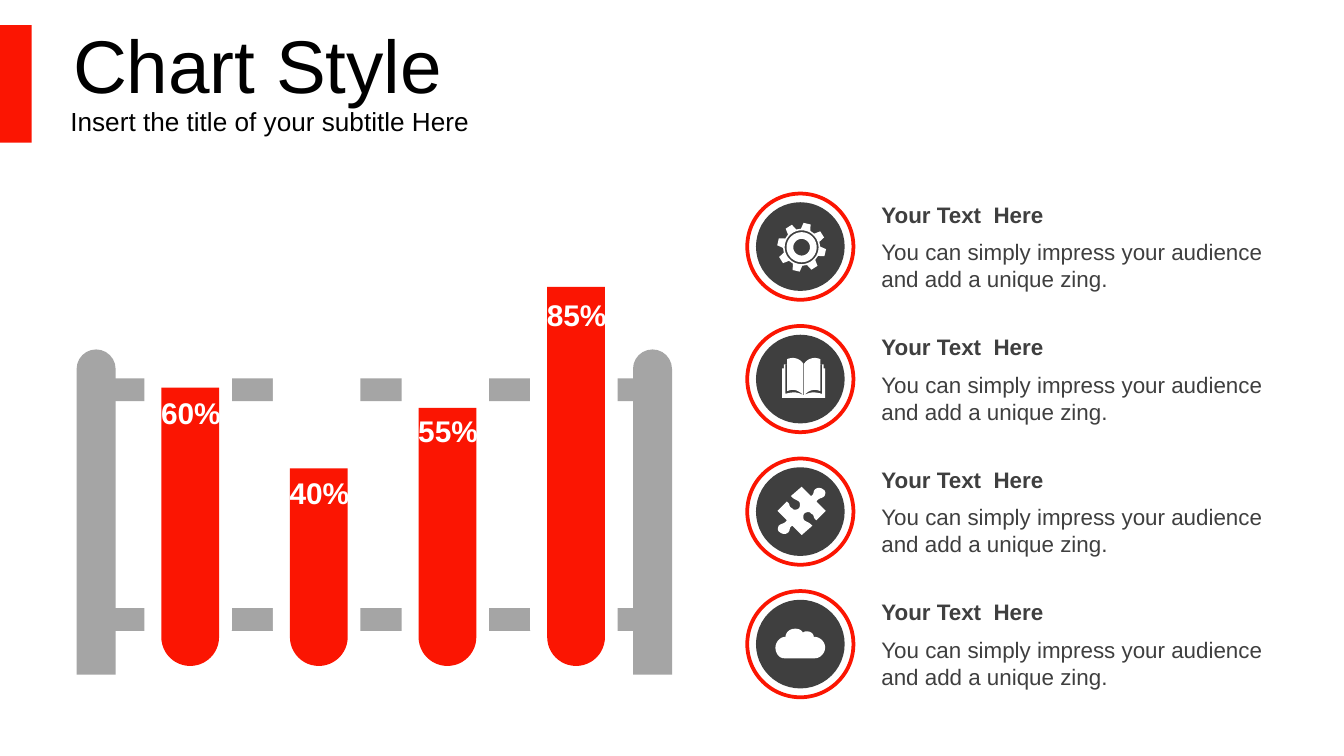
from collections import namedtuple
from dataclasses import dataclass
from math import cos, radians, sin

from pptx import Presentation
from pptx.dml.color import RGBColor
from pptx.enum.shapes import MSO_SHAPE
from pptx.enum.text import MSO_ANCHOR, PP_ALIGN
from pptx.util import Inches, Pt

Box = namedtuple("Box", "x y w h")


@dataclass(frozen=True)
class Theme:
    """Colours, font and type sizes of the slide."""
    accent: str = "FB1502"
    grey: str = "A5A5A5"
    dark: str = "3F3F3F"
    white: str = "FFFFFF"
    black: str = "000000"
    font: str = "Arial"
    title: int = 40
    subtitle: int = 14
    value: int = 16
    body: int = 12
    ring: int = 2


T = Theme()
COLUMNS, ROWS = 100, 56.25
CELL = Inches(10) // COLUMNS
BODY = "You can simply impress your audience and add a unique zing."
VALUES = (0.60, 0.40, 0.55, 0.85)
VALUE_DROPS = (0, -0.05, -0.15, 0.25)


def grid(v):
    """Turn grid cells into EMU."""
    return round(v * CELL)


def paint(shape, fill, line=None):
    """Give a shape a flat fill and an optional outline."""
    shape.shadow.inherit = False
    shape.fill.solid()
    shape.fill.fore_color.rgb = RGBColor.from_string(fill)
    if line:
        shape.line.color.rgb = RGBColor.from_string(line)
        shape.line.width = Pt(T.ring)
    else:
        shape.line.fill.background()
    return shape


def preset(s, kind, box, fill, line=None):
    """Add a painted preset shape in a grid box."""
    return paint(s.shapes.add_shape(kind, *map(grid, box)), fill, line)


def rounded(s, box, fill, rotation=0):
    """Add a bar with one fully rounded end."""
    sp = preset(s, MSO_SHAPE.ROUND_2_SAME_RECTANGLE, box, fill)
    sp.adjustments[0], sp.adjustments[1] = 0.5, 0
    sp.rotation = rotation


def label(s, box, text, size, color, bold=False, align=PP_ALIGN.LEFT,
          anchor=MSO_ANCHOR.TOP, pad=0.5):
    """Add a wrapped one-run text box."""
    tf = s.shapes.add_textbox(*map(grid, box)).text_frame
    tf.word_wrap = True
    tf.vertical_anchor = anchor
    tf.margin_left = tf.margin_right = grid(1)
    tf.margin_top = tf.margin_bottom = grid(pad)
    p = tf.paragraphs[0]
    p.alignment = align
    r = p.add_run()
    r.text = text
    r.font.name, r.font.size, r.font.bold = T.font, Pt(size), bold
    r.font.color.rgb = RGBColor.from_string(color)


def flatten(contour, steps=8):
    """Turn points and six-number cubic curves into points."""
    points = []
    for seg in contour:
        if len(seg) == 2:
            points.append(seg)
            continue
        x, y = points[-1]
        a, b, c, d, e, f = seg
        for t in (i / steps for i in range(1, steps + 1)):
            k = ((1 - t) ** 3, 3 * t * (1 - t) ** 2, 3 * t * t * (1 - t), t ** 3)
            points.append((k[0] * x + k[1] * a + k[2] * c + k[3] * e,
                           k[0] * y + k[1] * b + k[2] * d + k[3] * f))
    return points


def outline(s, x, y, contours, fill, unit=1.0):
    """Draw contours as one freeform whose zero point is x, y."""
    shapes = [[(grid(x + px * unit), grid(y + py * unit)) for px, py in flatten(c)]
              for c in contours]
    fb = s.shapes.build_freeform(*shapes[0][0], scale=1.0)
    fb.add_line_segments(shapes[0][1:], close=True)
    for points in shapes[1:]:
        fb.move_to(*points[0])
        fb.add_line_segments(points[1:], close=True)
    paint(fb.convert_to_shape(), fill)


def polar(radius, degrees):
    """Give the point at a radius and an angle."""
    return radius * cos(radians(degrees)), radius * sin(radians(degrees))


def gear():
    """Give the contours of an eight-toothed gear with a ring and a hole."""
    tooth = ((13.8, -15), (18.2, -8.5), (18.2, 8.5), (13.8, 15))
    teeth = [polar(r, 45 * i - 32 + a) for i in range(8) for r, a in tooth]
    rings = [[polar(r, a) for a in range(0, 360, 10)] for r in (12.6, 11.2, 6.2)]
    return [teeth, *rings]


def book():
    """Give the contours of an open book, symmetric about its spine."""
    def mirror(contour):
        """Reflect a contour of points and curves in the spine."""
        return [tuple(-v if i % 2 == 0 else v for i, v in enumerate(seg)) for seg in contour]

    half = [(0, 15), (-16, 15), (-16, -7), (-14.8, -7), (-14.8, -10), (-12.4, -10),
            (-12.4, -13.8), (-8, -15.8, -3, -14.5, -0.3, -10.5), (-0.3, 13), (0, 13)]
    slit = [(-12.4, -10), (-13.6, -10), (-13.6, 12), (-7, 10, -4, 11, -0.3, 13),
            (-4, 9, -8, 8, -12.4, 10)]
    return [half, mirror(half), slit, mirror(slit)]


def puzzle():
    """Give the contour of a jigsaw piece, symmetric about its centre."""
    half = [(16, -16), (18, -15, 18, -13, 17, -11), (15, -9, 13, -10, 11, -7),
            (18, 0), (11, 7), (8, 5, 10, 3, 7, 2), (6, 0, 3, 1, 2, 2),
            (1, 3, 1, 6, 2, 7), (5, 9, 5, 8, 8, 11), (0, 18), (-7, 11),
            (-10, 13, -8, 14, -10, 16), (-12, 18, -15, 17, -16, 16)]
    return [half + [tuple(-v for v in seg) for seg in half[1:]]]


def cloud():
    """Give the contour of a flat-based cloud."""
    return [[(-4, -11), (-1, -11, 1, -10, 2, -8), (3, -9, 4, -9, 5, -9),
             (8, -9, 10, -7, 10, -5), (15, -5, 18.5, -1, 18.5, 3),
             (18.5, 7, 15, 11, 11, 11), (-12, 11), (-16, 11, -18.5, 7, -18.5, 3),
             (-18.5, -1, -15, -5, -11, -5), (-11, -8, -8, -11, -4, -11)]]


def header(s, box):
    """Place the accent tab, the title and the subtitle."""
    preset(s, MSO_SHAPE.RECTANGLE, Box(box.x, box.y, 2.35, box.h), T.accent)
    label(s, Box(box.x + 4.25, box.y + 5.7, 78.6, 2.9), "Insert the title of your subtitle Here",
          T.subtitle, T.black, anchor=MSO_ANCHOR.MIDDLE, pad=1)
    label(s, Box(box.x + 4.45, box.y, 78.5, 5.7), "Chart Style",
          T.title, T.black, anchor=MSO_ANCHOR.MIDDLE, pad=1)


def fence_chart(s, box):
    """Place the posts, the rails and one tube with its bar for each value."""
    post, pitch, base = 2.9, 9.57, box.y + 32.35
    for x in (box.x, box.x + box.w - post):
        rounded(s, Box(x, box.y + 8.8, post, 24.2), T.grey)
    for x, y in ((1.6, 10.95), (2.3, 28.05)):
        preset(s, MSO_SHAPE.RECTANGLE, Box(box.x + x, box.y + y, 41.4, 1.7), T.grey)
    tube = [(0.9, 0), (8, 0), (8.5, 0, 9, 0.4, 9, 0.9), (9, 1.4, 8.5, 1.8, 8, 1.8),
            (7.7, 1.8), (7.7, 29.7), (7.7, 31.5, 6.3, 33, 4.45, 33),
            (2.6, 33, 1.2, 31.5, 1.2, 29.7), (1.2, 1.8), (0.9, 1.8),
            (0.4, 1.8, 0, 1.4, 0, 0.9), (0, 0.4, 0.4, 0, 0.9, 0)]
    for i, (value, drop) in enumerate(zip(VALUES, VALUE_DROPS)):
        x, height = box.x + 6.3 + i * pitch, 2.7 + 30 * value
        outline(s, x - 2.45, box.y, [tube], T.white)
        rounded(s, Box(x, base - height, 4.3, height), T.accent, 180)
        label(s, Box(x - 2.1, base - height + drop, 8.6, 3.7), f"{value:.0%}",
              T.value, T.white, True, PP_ALIGN.CENTER)


def feature(s, box, icon, dx, dy):
    """Place one ringed icon with its heading and text."""
    ring, disc = 7.9, 6.6
    preset(s, MSO_SHAPE.OVAL, Box(box.x, box.y, ring, ring), T.white, T.accent)
    gap = (ring - disc) / 2
    preset(s, MSO_SHAPE.OVAL, Box(box.x + gap, box.y + gap, disc, disc), T.dark)
    outline(s, box.x + ring / 2 + dx, box.y + ring / 2 + dy, icon, T.white, 0.1)
    label(s, Box(box.x + 9, box.y + 2.85, box.w - 9, 5), BODY, T.body, T.dark)
    label(s, Box(box.x + 9, box.y + 0.05, box.w - 9, 3), "Your Text  Here", T.body, T.dark, True)


def features(s, box):
    """Stack the features at equal steps down the box."""
    icons = ((gear(), 0.1, 0.05), (book(), 0.25, -0.1), (puzzle(), 0.1, -0.05), (cloud(), 0, -0.05))
    for i, (icon, dx, dy) in enumerate(icons):
        feature(s, Box(box.x, box.y + i * box.h / len(icons), box.w, 7.9), icon, dx, dy)


def main():
    """Build and save the slide."""
    prs = Presentation()
    prs.slide_width, prs.slide_height = grid(COLUMNS), grid(ROWS)
    s = prs.slides.add_slide(prs.slide_layouts[6])
    header(s, Box(0, 1.88, COLUMNS, 8.74))
    fence_chart(s, Box(5.7, 17.2, 44.3, 33))
    features(s, Box(55.6, 14.4, 40, 39.44))
    prs.save("out.pptx")


if __name__ == "__main__":
    main()
